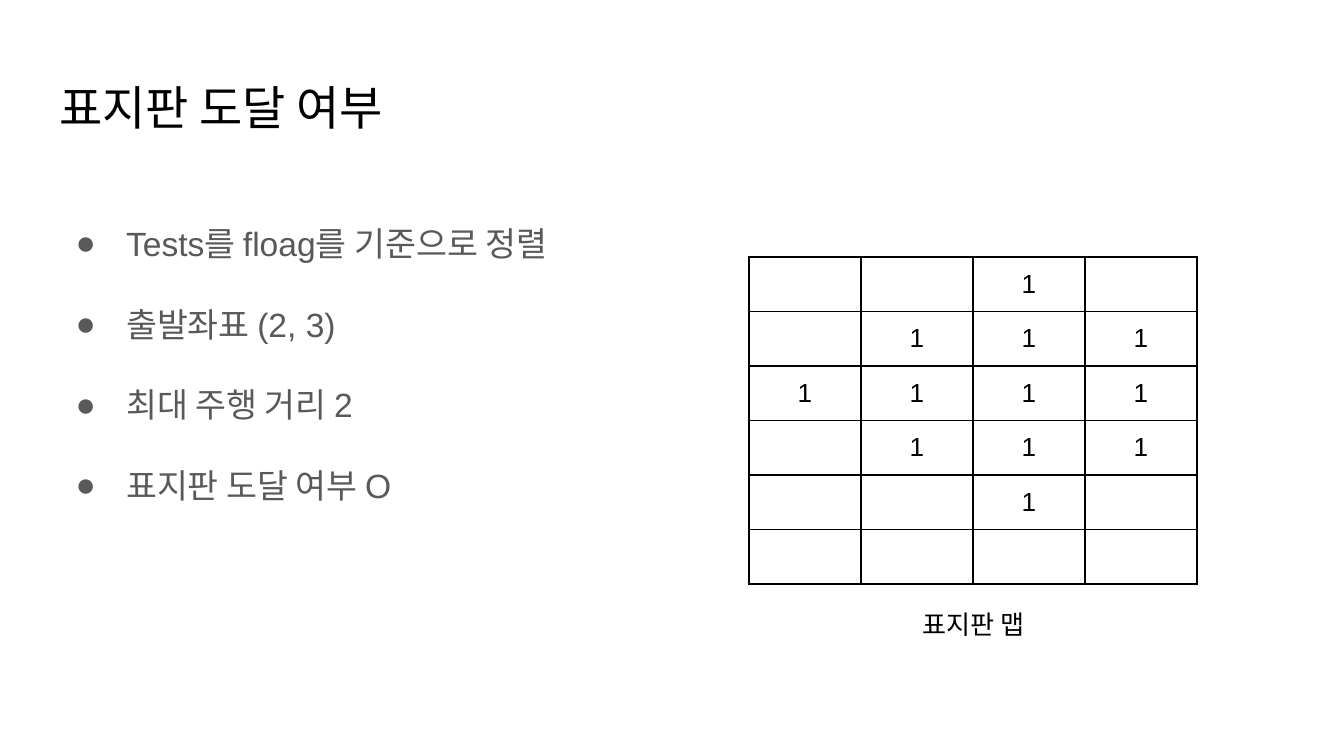
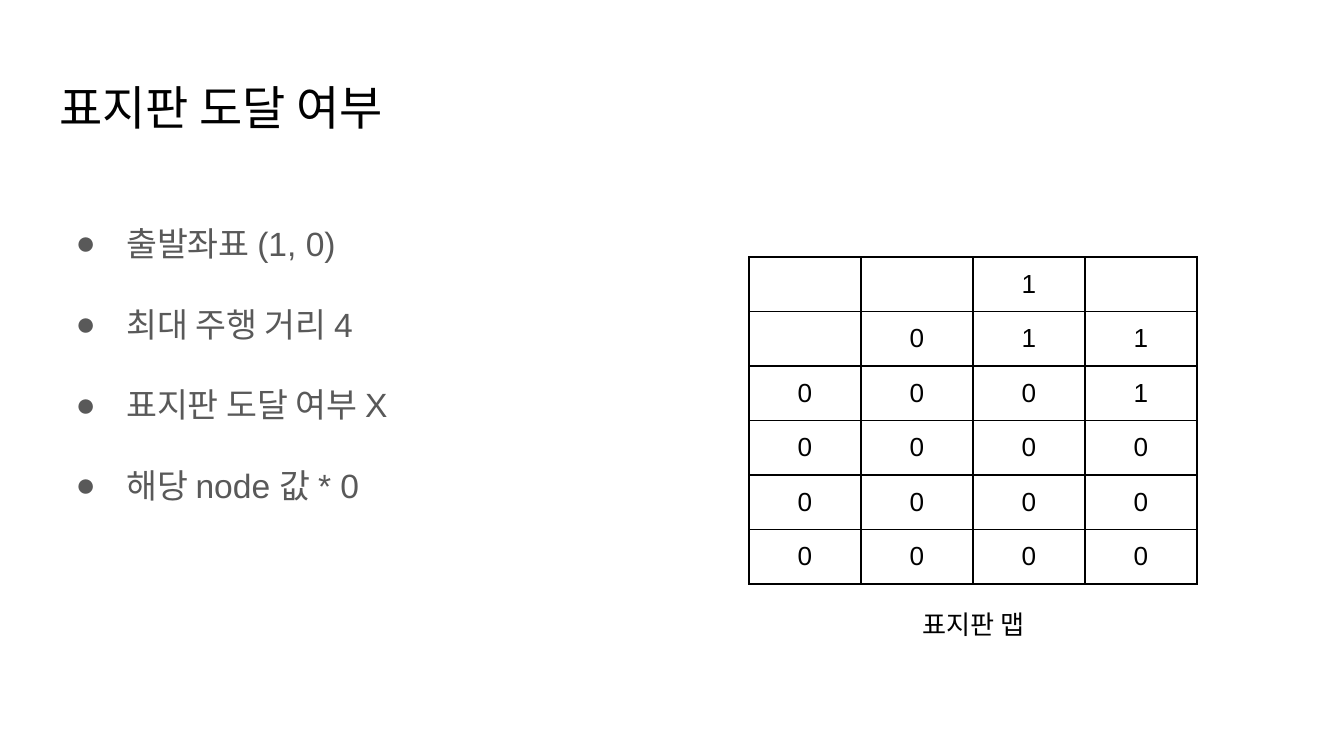
import pptx
import pptx.util
import pptx.dml.color
import pptx.enum.text
import pptx.oxml

Pt = pptx.util.Pt
RGB = pptx.dml.color.RGBColor.from_string
ALIGN = pptx.enum.text.PP_ALIGN
ANCHOR = pptx.enum.text.MSO_ANCHOR
FIT = pptx.enum.text.MSO_AUTO_SIZE
NS = 'xmlns:a="http://schemas.openxmlformats.org/drawingml/2006/main"'

COLORS = {"ink": "000000", "body": "595959", "paper": "FFFFFF"}
TITLE = "표지판 도달 여부"
LABEL = "표지판 맵"
STYLES = {
    "title": {"size": Pt(25.2), "name": "Arial", "bold": False},
    "body": {"size": Pt(18), "name": "Arial"},
    "map": {"size": Pt(14), "name": "Arial"},
}
FRAME = {"word_wrap": True, "auto_size": FIT.NONE, "vertical_anchor": ANCHOR.TOP}
INSET = dict.fromkeys(
    ("margin_left", "margin_top", "margin_right", "margin_bottom"), Pt(7.2))
BULLET = (
    f'<a:buClr {NS}><a:srgbClr val="{COLORS["body"]}"/></a:buClr>',
    f'<a:buFont {NS} typeface="Arial"/>',
    f'<a:buChar {NS} char="●"/>',
)
SLIDES = [
    (["Tests를 floag를 기준으로 정렬", "출발좌표 (2, 3)",
      "최대 주행 거리 2", "표지판 도달 여부 O"],
     ["  1 ", " 111", "1111", " 111", "  1 ", "    "]),
    (["출발좌표 (1, 0)", "최대 주행 거리 4",
      "표지판 도달 여부 X", "해당 node 값 * 0"],
     ["  1 ", " 011", "0001", "0000", "0000", "0000"]),
]


def apply(target, values):
    for key, value in values.items():
        setattr(target, key, value)


def write(para, text, style, color, align):
    para.alignment = align
    run = para.add_run()
    run.text = text
    apply(run.font, STYLES[style])
    run.font.color.rgb = RGB(COLORS[color])


deck = pptx.Presentation()
deck.slide_width, deck.slide_height = Pt(720), Pt(405)

for points, grid in SLIDES:
    slide = deck.slides.add_slide(deck.slide_layouts[5])
    slide.background.fill.solid()
    slide.background.fill.fore_color.rgb = RGB(COLORS["paper"])

    title = slide.shapes.title
    apply(title, {"left": Pt(24.5), "top": Pt(35), "width": Pt(671), "height": Pt(45)})
    apply(title.text_frame, FRAME | INSET)
    write(title.text_frame.paragraphs[0], TITLE, "title", "ink", ALIGN.LEFT)

    body = slide.shapes.add_textbox(Pt(24.5), Pt(90.75), Pt(671), Pt(269)).text_frame
    apply(body, FRAME | INSET)
    body._txBody.bodyPr.set("numCol", "2")
    for index, point in enumerate(points):
        para = body.add_paragraph() if index else body.paragraphs[0]
        props = para._p.get_or_add_pPr()
        props.set("marL", str(Pt(36)))
        props.set("indent", str(Pt(-27)))
        for part in BULLET:
            props.append(pptx.oxml.parse_xml(part))
        para.line_spacing = 2.0
        write(para, point, "body", "body", ALIGN.LEFT)

    rows, cols = len(grid), len(grid[0])
    table = slide.shapes.add_table(
        rows, cols, Pt(401.2), Pt(137.6), Pt(60 * cols), Pt(29.2 * rows)).table
    apply(table, {"first_row": False, "horz_banding": False})
    for col in table.columns:
        col.width = Pt(60)
    for row, line in zip(table.rows, grid):
        row.height = Pt(29.2)
        for cell, mark in zip(row.cells, line):
            cell.fill.solid()
            cell.fill.fore_color.rgb = RGB(COLORS["paper"])
            cell.vertical_anchor = ANCHOR.MIDDLE
            props = cell._tc.get_or_add_tcPr()
            for index, side in enumerate("LRTB"):
                props.insert(index, pptx.oxml.parse_xml(
                    f'<a:ln{side} {NS} w="{Pt(1)}"><a:solidFill>'
                    f'<a:srgbClr val="{COLORS["ink"]}"/></a:solidFill></a:ln{side}>'))
            if mark.strip():
                write(cell.text_frame.paragraphs[0], mark, "map", "ink", ALIGN.CENTER)

    label = slide.shapes.add_textbox(Pt(414), Pt(322.5), Pt(215), Pt(24.5)).text_frame
    apply(label, FRAME | {"auto_size": FIT.SHAPE_TO_FIT_TEXT})
    write(label.paragraphs[0], LABEL, "map", "ink", ALIGN.CENTER)

deck.save("out.pptx")
